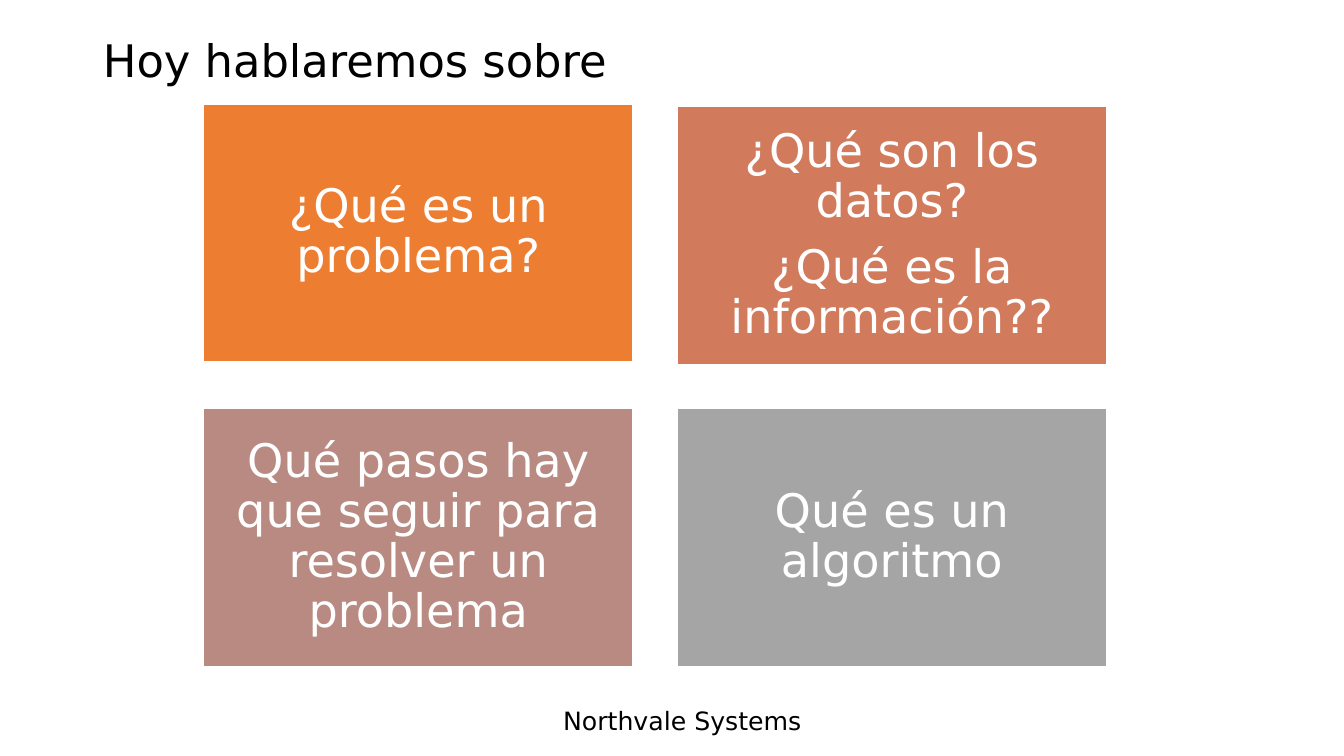
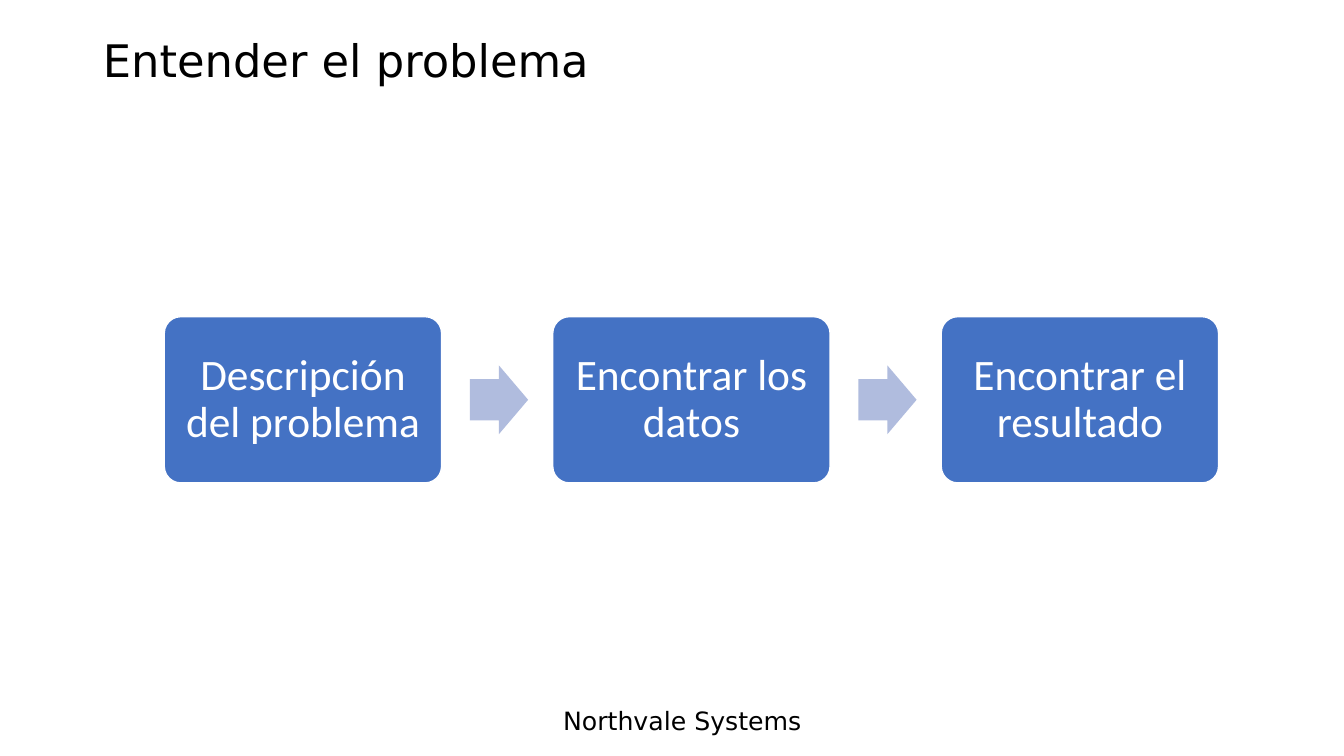
import pptx
import pptx.dml.color
import pptx.enum.shapes
import pptx.enum.text
import pptx.util

Cm = pptx.util.Cm
Pt = pptx.util.Pt
MSO_SHAPE = pptx.enum.shapes.MSO_SHAPE
PP_ALIGN = pptx.enum.text.PP_ALIGN
MSO_ANCHOR = pptx.enum.text.MSO_ANCHOR

COLORS = {
    "text": "000000",
    "white": "FFFFFF",
    "orange": "ED7D31",
    "terracotta": "D17B5C",
    "rose": "B98A82",
    "gray": "A5A5A5",
    "blue": "4472C4",
    "arrow": "B0BCDE",
}
MAIN_FONT = "DejaVu Sans"
STEP_FONT = "Calibri"
FOOTER = "Northvale Systems"

TOPICS = [
    (["¿Qué es un problema?"], "orange", Cm(0.07)),
    (["¿Qué son los datos?", "¿Qué es la información??"], "terracotta", 0),
    (["Qué pasos hay que seguir para resolver un problema"], "rose", 0),
    (["Qué es un algoritmo"], "gray", 0),
]
STEPS = ["Descripción del problema", "Encontrar los datos", "Encontrar el resultado"]


def rgb(color):
    return pptx.dml.color.RGBColor.from_string(COLORS[color])


def style_font(paragraph, name, size, color):
    paragraph.font.name = name
    paragraph.font.size = Pt(size)
    paragraph.font.color.rgb = rgb(color)


def add_filled_shape(slide, kind, box, color, adjustments=()):
    shape = slide.shapes.add_shape(kind, *box)
    shape.shadow.inherit = False
    shape.fill.solid()
    shape.fill.fore_color.rgb = rgb(color)
    shape.line.fill.background()
    for index, value in enumerate(adjustments):
        shape.adjustments[index] = value
    return shape


def add_label_box(slide, kind, box, color, lines, font, size, inset, adjustments=()):
    shape = add_filled_shape(slide, kind, box, color, adjustments)
    shape.line.color.rgb = rgb("white")
    shape.line.width = Pt(1)
    frame = shape.text_frame
    frame.word_wrap = True
    frame.vertical_anchor = MSO_ANCHOR.MIDDLE
    frame.margin_left = frame.margin_right = inset
    frame.margin_top = frame.margin_bottom = inset
    frame.text = "\n".join(lines)
    for paragraph in frame.paragraphs:
        paragraph.alignment = PP_ALIGN.CENTER
        paragraph.line_spacing = 0.9
        paragraph.space_after = Pt(size * 0.35)
        style_font(paragraph, font, size, "white")


def add_layout_footer(layout, slide):
    footer = slide.shapes.add_textbox(Cm(13.94), Cm(17.65), Cm(7.37), Cm(1.02))
    footer.text_frame.word_wrap = True
    footer.text_frame.text = FOOTER
    style_font(footer.text_frame.paragraphs[0], MAIN_FONT, 18, "text")
    layout.shapes.element.append(footer.element)


def add_titled_slide(presentation, layout, text):
    slide = presentation.slides.add_slide(layout)
    title = slide.shapes.title
    title.left, title.top = Cm(2.34), Cm(0.38)
    title.width, title.height = Cm(29.21), Cm(2.41)
    title.text_frame.text = text
    title.text_frame.vertical_anchor = MSO_ANCHOR.MIDDLE
    paragraph = title.text_frame.paragraphs[0]
    paragraph.alignment = PP_ALIGN.LEFT
    paragraph.line_spacing = 0.9
    style_font(paragraph, MAIN_FONT, 32, "text")
    return slide


def add_topic_grid(slide, left, top, width, height):
    gap = Cm(1.11)
    tile_width = (width - gap) // 2
    tile_height = (height - gap) // 2
    for index, (lines, color, lift) in enumerate(TOPICS):
        row, column = divmod(index, 2)
        box = (
            left + column * (tile_width + gap),
            top + row * (tile_height + gap) - lift,
            tile_width,
            tile_height,
        )
        add_label_box(slide, MSO_SHAPE.RECTANGLE, box, color, lines,
                      MAIN_FONT, 33, Cm(0.36))


def add_step_flow(slide, left, top, width, height):
    card_width = Cm(6.99)
    pitch = (width - card_width) // (len(STEPS) - 1)
    arrow_width, arrow_height = Cm(1.47), Cm(1.73)
    for index, step in enumerate(STEPS):
        card_left = left + index * pitch
        add_label_box(slide, MSO_SHAPE.ROUNDED_RECTANGLE,
                      (card_left, top, card_width, height), "blue", [step],
                      STEP_FONT, 31, Cm(0.33), [0.1])
        if index < len(STEPS) - 1:
            box = (card_left + card_width + Cm(0.71),
                   top + (height - arrow_height) // 2,
                   arrow_width, arrow_height)
            add_filled_shape(slide, MSO_SHAPE.RIGHT_ARROW, box, "arrow", [0.6, 0.5])


def main():
    presentation = pptx.Presentation()
    presentation.slide_width = Cm(33.87)
    presentation.slide_height = Cm(19.05)
    layout = presentation.slide_layouts.get_by_name("Title Only")

    topics_slide = add_titled_slide(presentation, layout, "Hoy hablaremos sobre")
    add_layout_footer(layout, topics_slide)
    add_topic_grid(topics_slide, Cm(5.13), Cm(2.69), Cm(22.76), Cm(14.1))

    steps_slide = add_titled_slide(presentation, layout, "Entender el problema")
    add_step_flow(steps_slide, Cm(4.14), Cm(7.98), Cm(26.57), Cm(4.19))

    presentation.save("out.pptx")


if __name__ == "__main__":
    main()
